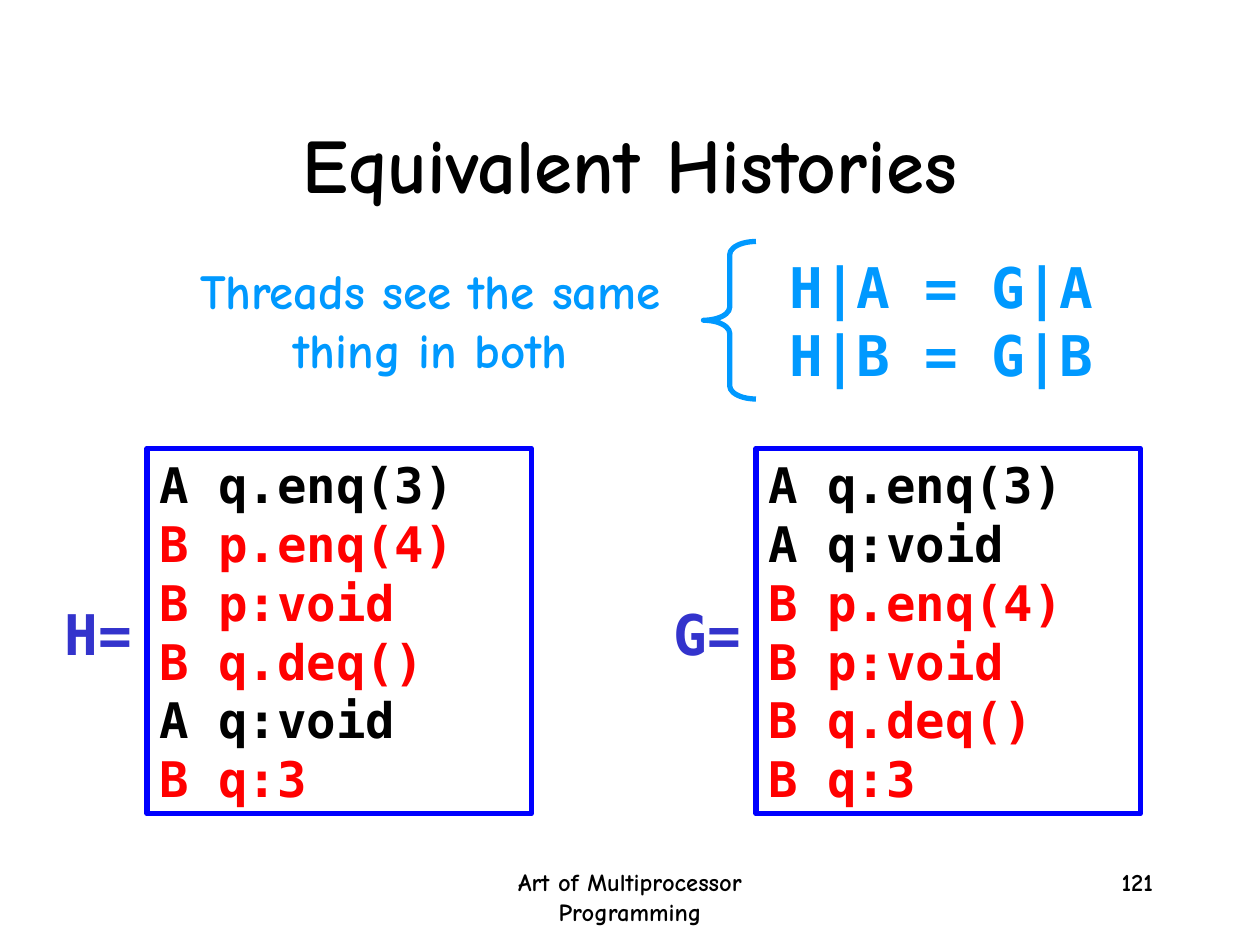
from pptx import Presentation
from pptx import util as u
from pptx.dml.color import RGBColor
from pptx.enum import shapes, text

WIDTH, HEIGHT = 120, 90
CELL = u.Inches(1 / 12)
PROSE, CODE = "Comic Neue", "DejaVu Sans Mono"
BLACK, RED, SKY, BLUE, INDIGO = "000000", "FF0000", "0099FF", "0000FF", "3333CC"
THREAD_COLOURS = {"A": BLACK, "B": RED}
BOX_TOP, BOX_WIDTH, BOX_HEIGHT = 42.7, 36.6, 34.8
HISTORIES = (
    ("H=", 14, ("A q.enq(3)", "B p.enq(4)", "B p:void",
                "B q.deq()", "A q:void", "B q:3")),
    ("G=", 72, ("A q.enq(3)", "A q:void", "B p.enq(4)",
                "B p:void", "B q.deq()", "B q:3")),
)


def colour(value):
    """Turn a hex string into a colour."""
    return RGBColor.from_string(value)


def cells(*lengths):
    """Turn grid columns and rows into lengths."""
    return [round(length * CELL) for length in lengths]


def write(holder, lines, size, font=PROSE, colours=(BLACK,),
          align=text.PP_ALIGN.LEFT, anchor=text.MSO_ANCHOR.TOP):
    """Write lines into a holder, cycling through the given colours."""
    frame = holder.text_frame
    frame.word_wrap = True
    frame.vertical_anchor = anchor
    frame.text = "\n".join(lines)
    for index, paragraph in enumerate(frame.paragraphs):
        paragraph.alignment = align
        for run in paragraph.runs:
            run.font.name = font
            run.font.size = u.Pt(size)
            run.font.bold = True
            run.font.color.rgb = colour(colours[index % len(colours)])


def add_label(slide, grid, lines, size, **style):
    """Add a text box at a grid position."""
    write(slide.shapes.add_textbox(*cells(*grid)), lines, size, **style)


def add_outline(slide, preset, grid, line):
    """Add an unfilled preset shape with a heavy line."""
    outline = slide.shapes.add_shape(preset, *cells(*grid))
    outline.shadow.inherit = False
    outline.fill.background()
    outline.line.color.rgb = colour(line)
    outline.line.width = u.Pt(3)
    return outline


def add_title(slide, grid, wording):
    """Place and format the title placeholder."""
    title = slide.shapes.title
    title.left, title.top, title.width, title.height = cells(*grid)
    write(title, [wording], 44, align=text.PP_ALIGN.CENTER,
          anchor=text.MSO_ANCHOR.MIDDLE)


def add_history(slide, name, left, events):
    """Add a framed history, coloured by thread, with its name."""
    add_label(slide, (left - 9, 56.5, 15, 7.7), [name], 32,
              font=CODE, colours=(INDIGO,))
    frame = add_outline(slide, shapes.MSO_SHAPE.RECTANGLE,
                        (left, BOX_TOP, BOX_WIDTH, BOX_HEIGHT), BLUE)
    write(frame, events, 28, font=CODE,
          colours=[THREAD_COLOURS[event[0]] for event in events])


def add_equivalence(slide):
    """Add the remark, the brace and the two equations."""
    add_label(slide, (14, 24.2, 54, 12.5), ["Threads see the same thing in both"],
              28, colours=(SKY,), align=text.PP_ALIGN.CENTER)
    brace = add_outline(slide, shapes.MSO_SHAPE.LEFT_BRACE, (67, 23, 5, 15), SKY)
    brace.adjustments[0] = 0.25
    brace.adjustments[1] = 0.5
    add_label(slide, (74, 23.5, 33, 14), ["H|A = G|A", "H|B = G|B"], 32,
              font=CODE, colours=(SKY,))


def add_footer(slide):
    """Add the book title and the page number."""
    add_label(slide, (41.2, 82, 37.6, 6), ["Art of Multiprocessor Programming"],
              14, align=text.PP_ALIGN.CENTER)
    add_label(slide, (86, 82, 25, 6), ["121"], 14, align=text.PP_ALIGN.RIGHT)


def main():
    """Build the slide and save it."""
    deck = Presentation()
    deck.slide_width, deck.slide_height = cells(WIDTH, HEIGHT)
    slide = deck.slides.add_slide(deck.slide_layouts[5])
    add_title(slide, (9, 8, 102, 15), "Equivalent Histories")
    add_equivalence(slide)
    for name, left, events in HISTORIES:
        add_history(slide, name, left, events)
    add_footer(slide)
    deck.save("out.pptx")


if __name__ == "__main__":
    main()
